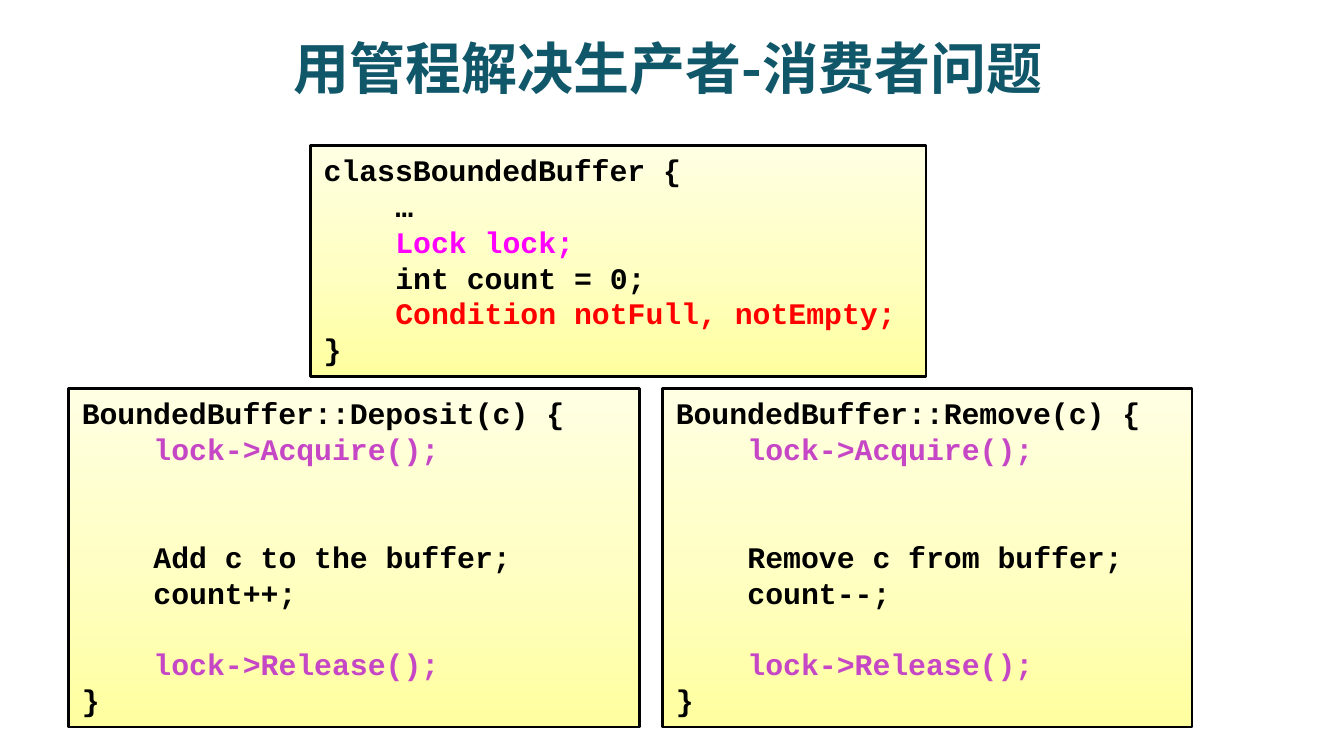
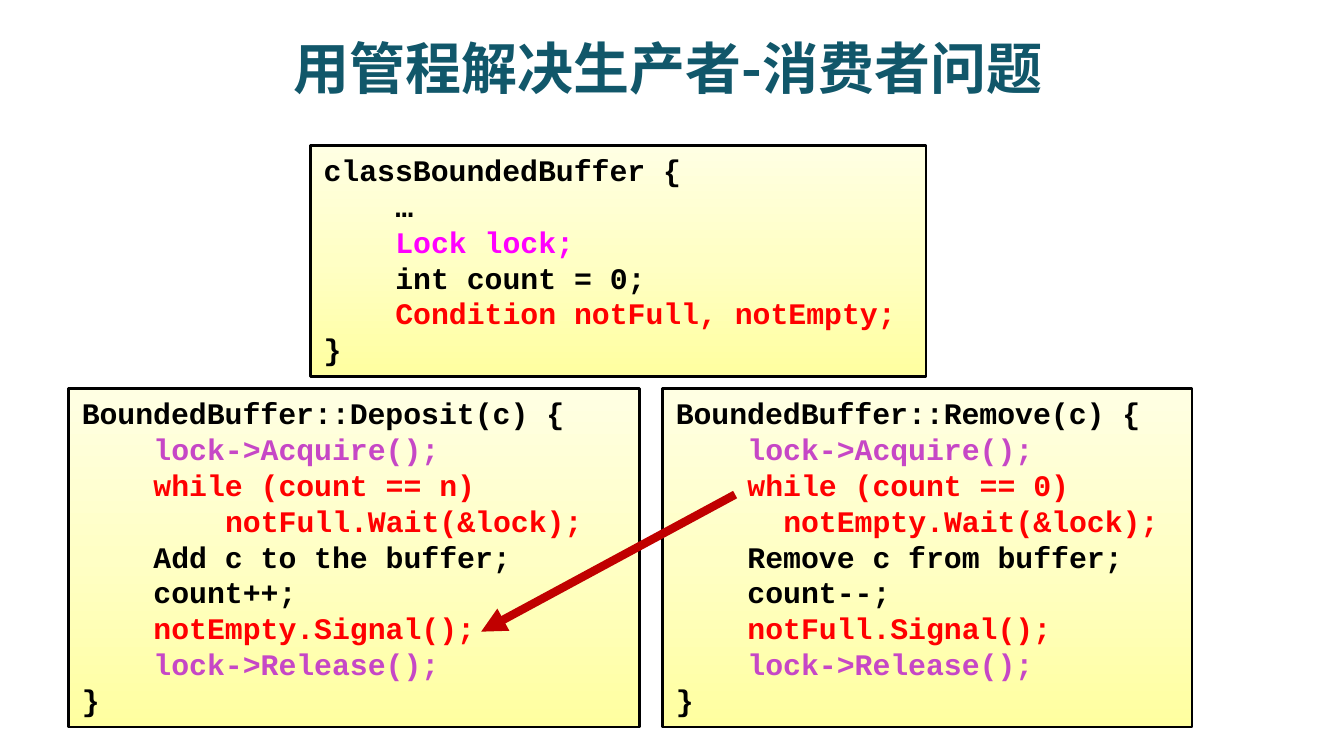
from copy import deepcopy
from dataclasses import dataclass

from lxml.etree import SubElement
from pptx import Presentation
from pptx.dml.color import RGBColor
from pptx.enum.shapes import MSO_CONNECTOR, MSO_SHAPE
from pptx.enum.text import MSO_ANCHOR, MSO_AUTO_SIZE, PP_ALIGN
from pptx.oxml.ns import qn
from pptx.util import Inches, Pt


@dataclass(frozen=True)
class Theme:
    title_font: str = "Noto Sans CJK SC"
    code_font: str = "Courier New"
    title_size: float = 30
    code_size: float = 16
    line_height: float = 19.2
    character_width: float = 9.6
    border_width: float = 1.5
    arrow_width: float = 4.5
    title: str = "11576A"
    plain: str = "000000"
    lock: str = "FF00FF"
    lock_call: str = "C647C6"
    condition: str = "FF0000"
    arrow: str = "C00000"
    panel: tuple = ("FFFFA0", "FFFFC5", "FFFFE3")


THEME = Theme()
CELL = Inches(0.1)  # grid of 100 columns by 56.25 rows
TITLE = "用管程解决生产者-消费者问题"

# Code lines: (indent in characters, text, colour); None is an empty line
CLASS_LINES = [
    (0, "classBoundedBuffer {", THEME.plain),
    (4, "…", THEME.plain),
    (4, "Lock lock;", THEME.lock),
    (4, "int count = 0;", THEME.plain),
    (4, "Condition notFull, notEmpty;", THEME.condition),
    (0, "}", THEME.plain),
]


def method_lines(name, action, step, waiting=(None, None), signal=None):
    return [
        (0, f"BoundedBuffer::{name}(c) {{", THEME.plain),
        (4, "lock->Acquire();", THEME.lock_call),
        *waiting,
        (4, action, THEME.plain),
        (4, step, THEME.plain),
        signal,
        (4, "lock->Release();", THEME.lock_call),
        (0, "}", THEME.plain),
    ]


class Deck:
    """Holds the style and the current slide."""

    def __init__(self, theme):
        self.theme = theme
        self.presentation = Presentation()
        self.presentation.slide_width = 100 * CELL
        self.presentation.slide_height = int(56.25 * CELL)
        self.slide = None

    def place(self, *cells):
        return [int(value * CELL) for value in cells]

    def style(self, paragraph, font_name, size, color):
        for run in paragraph.runs:
            run.font.name = font_name
            run.font.size = Pt(size)
            run.font.bold = True
            run.font.color.rgb = RGBColor.from_string(color)
            SubElement(run.font._element, qn("a:ea"), typeface=font_name)

    def add_slide(self, title):
        self.slide = self.presentation.slides.add_slide(
            self.presentation.slide_layouts[5])
        shape = self.slide.shapes.title
        shape.left, shape.top, shape.width, shape.height = self.place(4.7, 2.5, 90, 5.6)
        frame = shape.text_frame
        frame.text = title
        frame.auto_size = MSO_AUTO_SIZE.NONE
        frame.vertical_anchor = MSO_ANCHOR.TOP
        frame.margin_top = frame.margin_bottom = 0
        frame.paragraphs[0].alignment = PP_ALIGN.CENTER
        self.style(frame.paragraphs[0], self.theme.title_font,
                   self.theme.title_size, self.theme.title)

    def fill_panel(self, shape):
        shape.fill.gradient()
        shape.fill.gradient_angle = 90
        stop_list = shape._element.spPr.find(".//" + qn("a:gsLst"))
        stop_list.insert(1, deepcopy(stop_list[0]))
        stops = zip(shape.fill.gradient_stops, self.theme.panel)
        for index, (stop, color) in enumerate(stops):
            stop.position = index / 2
            stop.color.rgb = RGBColor.from_string(color)

    def add_code(self, column, row, columns, rows, lines):
        theme = self.theme
        shape = self.slide.shapes.add_shape(
            MSO_SHAPE.RECTANGLE, *self.place(column, row, columns, rows))
        shape.shadow.inherit = False
        self.fill_panel(shape)
        shape.line.color.rgb = RGBColor.from_string(theme.plain)
        shape.line.width = Pt(theme.border_width)
        frame = shape.text_frame
        frame.word_wrap = True
        frame.vertical_anchor = MSO_ANCHOR.TOP

        # Empty lines become space before the next paragraph
        frame.text = "\n".join(line[1] for line in lines if line)
        paragraphs = iter(frame.paragraphs)
        empty_lines = 0
        for line in lines:
            if line is None:
                empty_lines += 1
                continue
            indent, _, color = line
            paragraph = next(paragraphs)
            paragraph.alignment = PP_ALIGN.LEFT
            paragraph.line_spacing = Pt(theme.line_height)
            paragraph.space_before = Pt(empty_lines * theme.line_height)
            properties = paragraph._p.get_or_add_pPr()
            properties.set("marL", str(Pt(indent * theme.character_width)))
            properties.set("indent", "0")
            self.style(paragraph, theme.code_font, theme.code_size, color)
            empty_lines = 0

    def add_arrow(self, *ends):
        connector = self.slide.shapes.add_connector(
            MSO_CONNECTOR.STRAIGHT, *self.place(*ends))
        connector.line.color.rgb = RGBColor.from_string(self.theme.arrow)
        connector.line.width = Pt(self.theme.arrow_width)
        SubElement(connector.line._get_or_add_ln(), qn("a:tailEnd"), type="triangle")
        SubElement(connector._element.spPr, qn("a:effectLst"))

    def add_monitor(self, deposit, remove):
        self.add_slide(TITLE)
        self.add_code(5.1, 28.9, 42.5, 25.2, deposit)
        self.add_code(49.3, 28.9, 39.4, 25.2, remove)
        self.add_code(23.1, 10.8, 45.8, 17.2, CLASS_LINES)


def main():
    deck = Deck(THEME)
    deposit = ("Deposit", "Add c to the buffer;", "count++;")
    remove = ("Remove", "Remove c from buffer;", "count--;")

    # Slide 1: locking only
    deck.add_monitor(method_lines(*deposit), method_lines(*remove))

    # Slide 2: waiting and signalling added
    red = THEME.condition
    deck.add_monitor(
        method_lines(*deposit,
                     [(4, "while (count == n)", red), (8, "notFull.Wait(&lock);", red)],
                     (4, "notEmpty.Signal();", red)),
        method_lines(*remove,
                     [(4, "while (count == 0)", red), (6, "notEmpty.Wait(&lock);", red)],
                     (4, "notFull.Signal();", red)))
    deck.add_arrow(54.7, 36.8, 35.8, 47)

    deck.presentation.save("out.pptx")


if __name__ == "__main__":
    main()
